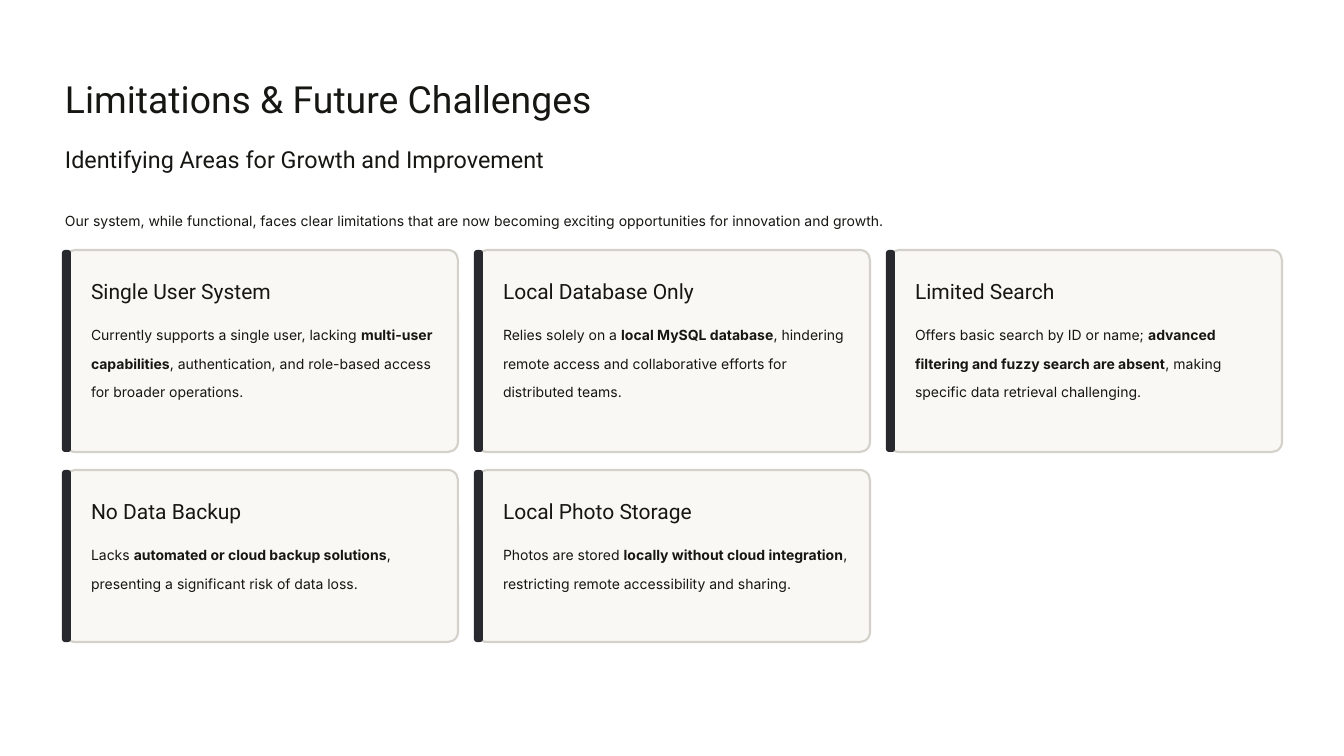
from pptx import Presentation
from pptx.dml.color import RGBColor
from pptx.enum.shapes import MSO_SHAPE
from pptx.enum.text import MSO_ANCHOR, MSO_AUTO_SIZE, PP_ALIGN
from pptx.util import Pt

ROUNDED = MSO_SHAPE.ROUNDED_RECTANGLE
TOP = MSO_ANCHOR.TOP
LEFT = PP_ALIGN.LEFT
NO_AUTOFIT = MSO_AUTO_SIZE.NONE

INK = RGBColor(0x16, 0x16, 0x13)
CARD_FILL = RGBColor(0xF9, 0xF8, 0xF5)
CARD_LINE = RGBColor(0xD3, 0xD1, 0xC9)
ACCENT = RGBColor(0x28, 0x28, 0x2F)

TITLE = "Limitations & Future Challenges"
SUBTITLE = "Identifying Areas for Growth and Improvement"
INTRO = ("Our system, while functional, faces clear limitations that are now becoming "
         "exciting opportunities for innovation and growth.")

# Each card: heading, then its text as (plain, bold, plain)
CARDS = [
    ("Single User System",
     ("Currently supports a single user, lacking ", "multi-user capabilities",
      ", authentication, and role-based access for broader operations.")),
    ("Local Database Only",
     ("Relies solely on a ", "local MySQL database",
      ", hindering remote access and collaborative efforts for distributed teams.")),
    ("Limited Search",
     ("Offers basic search by ID or name; ", "advanced filtering and fuzzy search are absent",
      ", making specific data retrieval challenging.")),
    ("No Data Backup",
     ("Lacks ", "automated or cloud backup solutions",
      ", presenting a significant risk of data loss.")),
    ("Local Photo Storage",
     ("Photos are stored ", "locally without cloud integration",
      ", restricting remote accessibility and sharing.")),
]

# Text styles: font, size and line spacing in points
STYLES = {
    "title": ("Roboto", 32, 48.5),
    "subtitle": ("Roboto", 20, 38.5),
    "heading": ("Roboto", 18, 29),
    "body": ("Inter", 12, 24.5),
}

# Lengths in px
PAGE_WIDTH, PAGE_HEIGHT = 1344, 756
MARGIN = 65
COLUMNS = 3
CARD_WIDTH, COLUMN_STEP = 393, 412
FIRST_ROW_TOP, ROW_GAP = 250, 18
ROW_HEIGHTS = [202, 172]
CARD_RADIUS = 10
BAR_WIDTH, BAR_OVERHANG, BAR_RADIUS = 9, 3, 3
TEXT_INSET, HEADING_OFFSET, BODY_OFFSET = 26, 20, 65
HEADING_WIDTH, HEADING_HEIGHT = 272, 34
BODY_WIDTH, BODY_BOTTOM = 347, 21


def px(length):
    return round(length * 914400 / 84)


def write(box, frame, style, parts):
    """Place a text box and fill it; every second part is bold."""
    box.left, box.top, box.width, box.height = map(px, frame)
    font_name, size, spacing = STYLES[style]
    text_frame = box.text_frame
    frame_format = {"margin_left": 0, "margin_top": 0, "margin_right": 0,
                    "margin_bottom": 0, "word_wrap": True,
                    "auto_size": NO_AUTOFIT, "vertical_anchor": TOP}
    for name, value in frame_format.items():
        setattr(text_frame, name, value)
    para = text_frame.paragraphs[0]
    para_format = {"alignment": LEFT, "line_spacing": Pt(spacing),
                   "space_before": Pt(0), "space_after": Pt(0)}
    for name, value in para_format.items():
        setattr(para, name, value)
    for index, part in enumerate(parts):
        span = para.add_run()
        span.text = part
        span.font.color.rgb = INK
        span_format = {"name": font_name, "size": Pt(size), "bold": index % 2 == 1}
        for name, value in span_format.items():
            setattr(span.font, name, value)


def add_text(page, frame, style, parts):
    write(page.shapes.add_textbox(0, 0, 0, 0), frame, style, parts)


def add_rounded(page, frame, radius, fill, line=None):
    shape = page.shapes.add_shape(ROUNDED, *map(px, frame))
    shape.shadow.inherit = False
    shape.adjustments[0] = radius / min(frame[2:])
    shape.fill.solid()
    shape.fill.fore_color.rgb = fill
    if line is None:
        shape.line.fill.background()
    else:
        shape.line.color.rgb = line
        shape.line.width = Pt(1.8)


def add_card(page, left, top, height, heading, parts):
    add_rounded(page, (left, top, CARD_WIDTH, height), CARD_RADIUS, CARD_FILL, CARD_LINE)
    add_rounded(page, (left - BAR_OVERHANG, top, BAR_WIDTH, height), BAR_RADIUS, ACCENT)
    text_left = left + TEXT_INSET
    add_text(page, (text_left, top + HEADING_OFFSET, HEADING_WIDTH, HEADING_HEIGHT),
             "heading", [heading])
    add_text(page, (text_left, top + BODY_OFFSET, BODY_WIDTH,
                    height - BODY_OFFSET - BODY_BOTTOM), "body", parts)


def main():
    deck = Presentation()
    deck.slide_width, deck.slide_height = px(PAGE_WIDTH), px(PAGE_HEIGHT)
    page = deck.slides.add_slide(deck.slide_layouts[0])
    write(page.shapes.title, (MARGIN, 64, 680, 57), "title", [TITLE])
    write(page.placeholders[1], (MARGIN, 128, 795, 45), "subtitle", [SUBTITLE])
    add_text(page, (MARGIN, 201, 1217, 29), "body", [INTRO])
    for index, (heading, parts) in enumerate(CARDS):
        row, column = divmod(index, COLUMNS)
        left = MARGIN + column * COLUMN_STEP
        top = FIRST_ROW_TOP + sum(ROW_HEIGHTS[:row]) + row * ROW_GAP
        add_card(page, left, top, ROW_HEIGHTS[row], heading, parts)
    deck.save("out.pptx")


if __name__ == "__main__":
    main()
